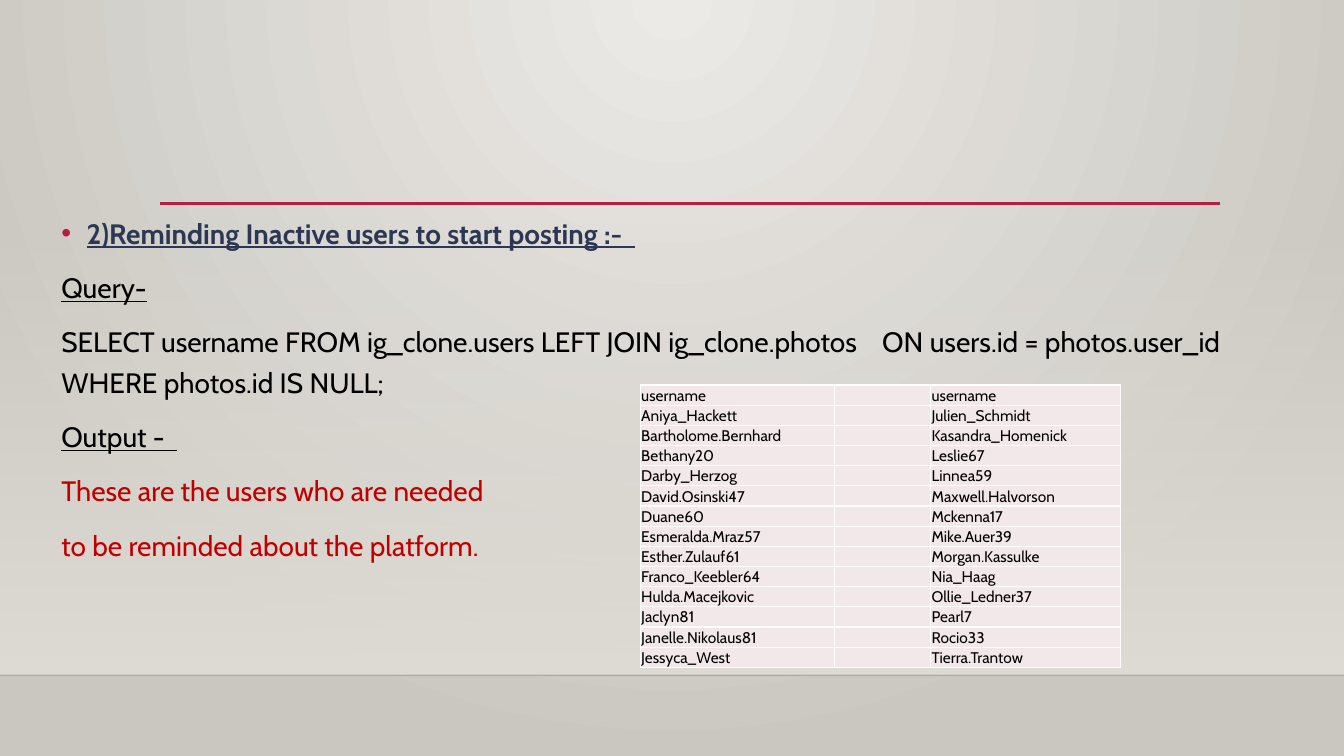
from lxml.etree import SubElement
from pptx import Presentation
from pptx.dml.color import RGBColor
from pptx.enum.shapes import MSO_CONNECTOR, MSO_SHAPE
from pptx.enum.text import MSO_ANCHOR
from pptx.oxml.ns import qn
from pptx.util import Inches, Pt

FONT = "Cabin"
BG_LIGHT = RGBColor(0xEC, 0xEA, 0xE7)
BG_DARK = RGBColor(0xCA, 0xC7, 0xC1)
HAZE = RGBColor(0xDF, 0xDB, 0xD5)
CRIMSON = RGBColor(0xB7, 0x1E, 0x42)
NAVY = RGBColor(0x2C, 0x37, 0x53)
RED = RGBColor(0xC0, 0x00, 0x00)
BLACK = RGBColor(0, 0, 0)
FLOOR_LINE = RGBColor(0, 0, 1)
CELL_FILL = RGBColor(0xF3, 0xE8, 0xE9)
WHITE = RGBColor(0xFF, 0xFF, 0xFF)


def add_xml(parent, tag, **attrs):
    return SubElement(parent, qn(tag), {k: str(v) for k, v in attrs.items()})


class Deck:
    def __init__(self, width, height):
        self.prs = Presentation()
        self.prs.slide_width = Inches(width)
        self.prs.slide_height = Inches(height)
        self.s = self.prs.slides.add_slide(self.prs.slide_layouts[6])

    def gradient(self, fill, *colors):
        fill.gradient()
        for stop, color in zip(fill.gradient_stops, colors):
            stop.color.rgb = color

    def background(self, inner, outer):
        self.gradient(self.s.background.fill, inner, outer)
        grad = next(self.s.element.iter(qn("a:gradFill")))
        for lin in grad.findall(qn("a:lin")):
            grad.remove(lin)
        circle = add_xml(grad, "a:path", path="circle")
        add_xml(circle, "a:fillToRect", l=43000, t=0, r=43000, b=100000)

    def fade(self, left, top, width, height, color):
        sp = self.s.shapes.add_shape(MSO_SHAPE.RECTANGLE, Inches(left), Inches(top),
                                     Inches(width), Inches(height))
        sp.shadow.inherit = False
        sp.line.fill.background()
        self.gradient(sp.fill, color, color)
        sp.fill.gradient_angle = 270
        first = next(sp.element.spPr.iter(qn("a:srgbClr")))
        add_xml(first, "a:alpha", val=0)

    def rule(self, left, right, y, color, weight, opacity=100):
        line = self.s.shapes.add_connector(MSO_CONNECTOR.STRAIGHT, Inches(left), Inches(y),
                                           Inches(right), Inches(y))
        line.line.color.rgb = color
        line.line.width = Pt(weight)
        spPr = line.element.spPr
        if opacity < 100:
            add_xml(next(spPr.iter(qn("a:srgbClr"))), "a:alpha", val=opacity * 1000)
        add_xml(spPr, "a:effectLst")

    def style(self, p, size, color, bold=False, underline=False):
        for r in p.runs:
            r.font.name = FONT
            r.font.size = Pt(size)
            r.font.color.rgb = color
            r.font.bold = bold
            r.font.underline = underline

    def bullet(self, p, color):
        pPr = p._p.get_or_add_pPr()
        pPr.set("marL", str(Inches(0.25)))
        pPr.set("indent", str(-Inches(0.25)))
        add_xml(add_xml(pPr, "a:buClr"), "a:srgbClr", val=color)
        add_xml(pPr, "a:buFont", typeface="Arial")
        add_xml(pPr, "a:buChar", char="•")

    def body(self, left, top, width, height, lines):
        tf = self.s.shapes.add_textbox(Inches(left), Inches(top),
                                       Inches(width), Inches(height)).text_frame
        tf.word_wrap = True
        for i, (text, color, bold, underline) in enumerate(lines):
            p = tf.add_paragraph() if i else tf.paragraphs[0]
            p.text = text
            p.line_spacing = 1.2
            p.space_before = Pt(10)
            self.style(p, 20, color, bold, underline)
        self.bullet(tf.paragraphs[0], CRIMSON)

    def cell(self, cell, text):
        cell.fill.solid()
        cell.fill.fore_color.rgb = CELL_FILL
        cell.vertical_anchor = MSO_ANCHOR.MIDDLE
        cell.margin_left = cell.margin_right = cell.margin_top = Inches(0.01)
        cell.margin_bottom = 0
        p = cell.text_frame.paragraphs[0]
        p.text = text
        self.style(p, 11, BLACK)
        p._p.get_or_add_endParaRPr().set("sz", "1100")
        tcPr = cell._tc.get_or_add_tcPr()
        for i, side in enumerate(("a:lnL", "a:lnR", "a:lnT", "a:lnB")):
            ln = tcPr.makeelement(qn(side), {"w": str(Pt(1))})
            add_xml(add_xml(ln, "a:solidFill"), "a:srgbClr", val=WHITE)
            tcPr.insert(i, ln)

    def table(self, left, top, widths, row_height, rows):
        table = self.s.shapes.add_table(len(rows), len(widths), Inches(left), Inches(top),
                                        Inches(sum(widths)),
                                        Inches(row_height * len(rows))).table
        table.first_row = table.horz_banding = False
        for column, width in zip(table.columns, widths):
            column.width = Inches(width)
        for row, texts in zip(table.rows, rows):
            row.height = Inches(row_height)
            for cell, text in zip(row.cells, texts):
                self.cell(cell, text)


LINES = [
    ("2)Reminding Inactive users to start posting :-  ", NAVY, True, True),
    ("Query-", BLACK, False, True),
    ("SELECT username FROM ig_clone.users LEFT JOIN ig_clone.photos    "
     "ON users.id = photos.user_id WHERE photos.id IS NULL;", BLACK, False, False),
    ("Output -  ", BLACK, False, True),
    ("These are the users who are needed ", RED, False, False),
    ("to be reminded about the platform.", RED, False, False),
]
LEFT_USERS = [
    "username", "Aniya_Hackett", "Bartholome.Bernhard", "Bethany20", "Darby_Herzog",
    "David.Osinski47", "Duane60", "Esmeralda.Mraz57", "Esther.Zulauf61",
    "Franco_Keebler64", "Hulda.Macejkovic", "Jaclyn81", "Janelle.Nikolaus81",
    "Jessyca_West",
]
RIGHT_USERS = [
    "username", "Julien_Schmidt", "Kasandra_Homenick", "Leslie67", "Linnea59",
    "Maxwell.Halvorson", "Mckenna17", "Mike.Auer39", "Morgan.Kassulke", "Nia_Haag",
    "Ollie_Ledner37", "Pearl7", "Rocio33", "Tierra.Trantow",
]

deck = Deck(13.33, 7.5)
deck.background(BG_LIGHT, BG_DARK)
deck.fade(0, 2.21, 13.33, 4.49, HAZE)
deck.rule(0, 13.33, 6.7, FLOOR_LINE, 1, opacity=20)
deck.rule(1.59, 12.1, 2.02, CRIMSON, 2.5)
deck.body(0.51, 2.03, 12.65, 4.59, LINES)
deck.table(6.35, 3.82, (1.93, 0.95, 1.88), 0.2,
           [(a, "", b) for a, b in zip(LEFT_USERS, RIGHT_USERS)])
deck.prs.save("out.pptx")
